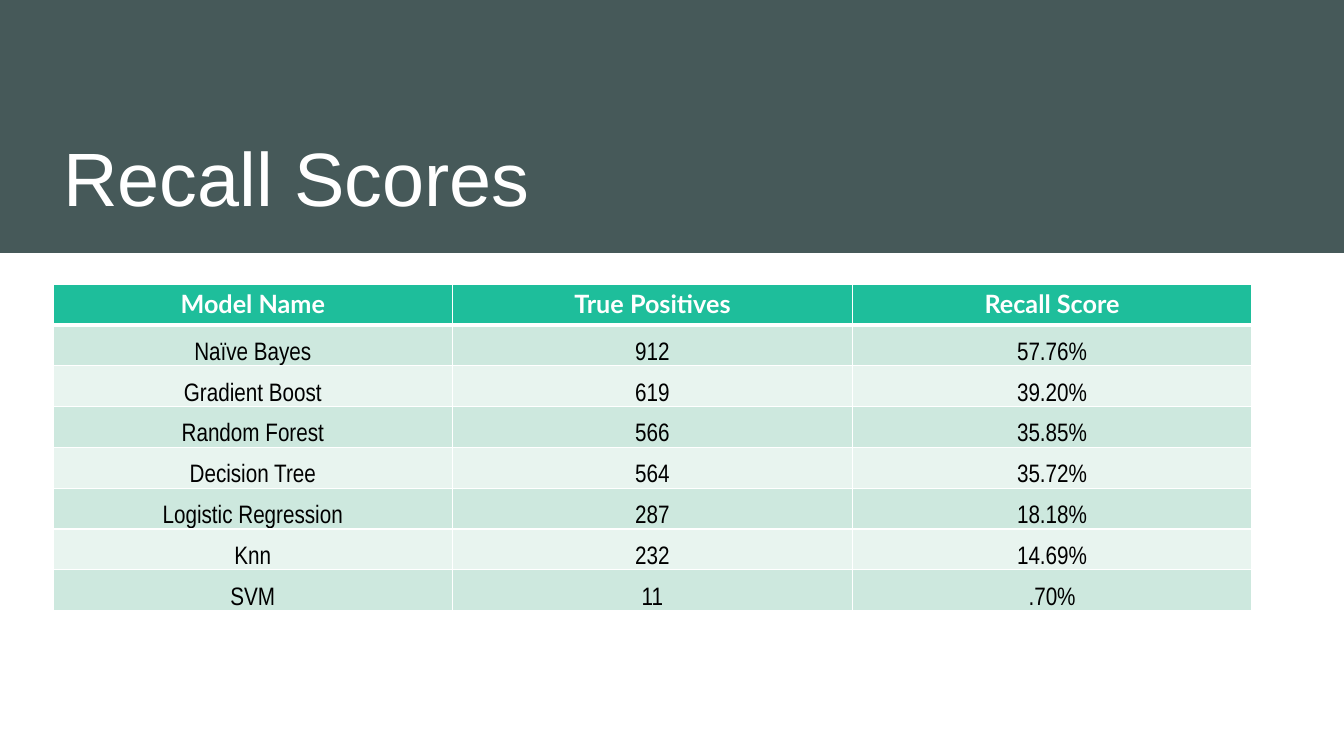
from lxml import etree
from pptx import Presentation
from pptx import util as u
from pptx.dml.color import RGBColor
from pptx.enum import shapes, text
from pptx.oxml import ns

PX = 914400 / 100.8
WHITE = "FFFFFF"
SLATE = "465959"
TEAL = "1EBE9B"
BANDS = ("CDE8DE", "E8F4EF")

SCORES = [
    ("Model Name", "True Positives", "Recall Score"),
    ("Naïve Bayes", "912", "57.76%"),
    ("Gradient Boost", "619", "39.20%"),
    ("Random Forest", "566", "35.85%"),
    ("Decision Tree", "564", "35.72%"),
    ("Logistic Regression", "287", "18.18%"),
    ("Knn", "232", "14.69%"),
    ("SVM", "11", ".70%"),
]


def px(n):
    return u.Emu(round(n * PX))


def rgb(value):
    return RGBColor.from_string(value)


class Deck:
    def __init__(self, width, height):
        self.prs = Presentation()
        self.prs.slide_width, self.prs.slide_height = px(width), px(height)
        self.s = self.prs.slides.add_slide(self.prs.slide_layouts[5])

    def run(self, p, words, font, size, color, align, bold=False):
        p.alignment = align
        r = p.add_run()
        r.text = words
        r.font.name, r.font.size, r.font.bold = font, u.Pt(size), bold
        r.font.color.rgb = rgb(color)

    def title(self, words, x, y, w, h):
        sp = self.s.shapes.title
        sp.left, sp.top, sp.width, sp.height = map(px, (x, y, w, h))
        tf = sp.text_frame
        tf.auto_size = text.MSO_AUTO_SIZE.NONE
        tf.vertical_anchor = text.MSO_ANCHOR.BOTTOM
        self.run(tf.paragraphs[0], words, "Arial", 54, WHITE, text.PP_ALIGN.LEFT)

    def band(self, x, y, w, h, color):
        sp = self.s.shapes.add_shape(shapes.MSO_SHAPE.RECTANGLE, *map(px, (x, y, w, h)))
        sp.shadow.inherit = False
        sp.fill.solid()
        sp.fill.fore_color.rgb = rgb(color)
        sp.line.fill.background()
        self.s.shapes.title.element.addprevious(sp.element)

    def borders(self, cell, top, bottom):
        tcPr = cell._tc.get_or_add_tcPr()
        sides = (("lnL", 1), ("lnR", 1), ("lnT", top), ("lnB", bottom))
        for i, (side, width) in enumerate(sides):
            ln = etree.Element(ns.qn("a:" + side), w=str(u.Pt(width)))
            fill = etree.SubElement(ln, ns.qn("a:solidFill"))
            etree.SubElement(fill, ns.qn("a:srgbClr"), val=WHITE)
            tcPr.insert(i, ln)

    def cell(self, cell, words, row):
        header = row == 0
        cell.fill.solid()
        cell.fill.fore_color.rgb = rgb(TEAL if header else BANDS[(row - 1) % 2])
        if not header:
            cell.vertical_anchor = text.MSO_ANCHOR.BOTTOM
            cell.margin_left = cell.margin_right = cell.margin_top = px(1)
            cell.margin_bottom = 0
        font, color = ("Lato", WHITE) if header else ("Arial Narrow", "000000")
        p = cell.text_frame.paragraphs[0]
        self.run(p, words, font, 18, color, text.PP_ALIGN.CENTER, header)
        self.borders(cell, 3 if row == 1 else 1, 3 if header else 1)

    def table(self, rows, x, y, w, h):
        frame = self.s.shapes.add_table(len(rows), len(rows[0]), *map(px, (x, y, w, h)))
        for i, values in enumerate(rows):
            for j, words in enumerate(values):
                self.cell(frame.table.cell(i, j), words, i)


def main():
    deck = Deck(1344, 756)
    deck.band(0, 0, 1344, 253, SLATE)
    deck.title("Recall Scores", 53, 40, 1199, 187)
    deck.table(SCORES, 53, 284, 1199, 327)
    deck.prs.save("out.pptx")


if __name__ == "__main__":
    main()
